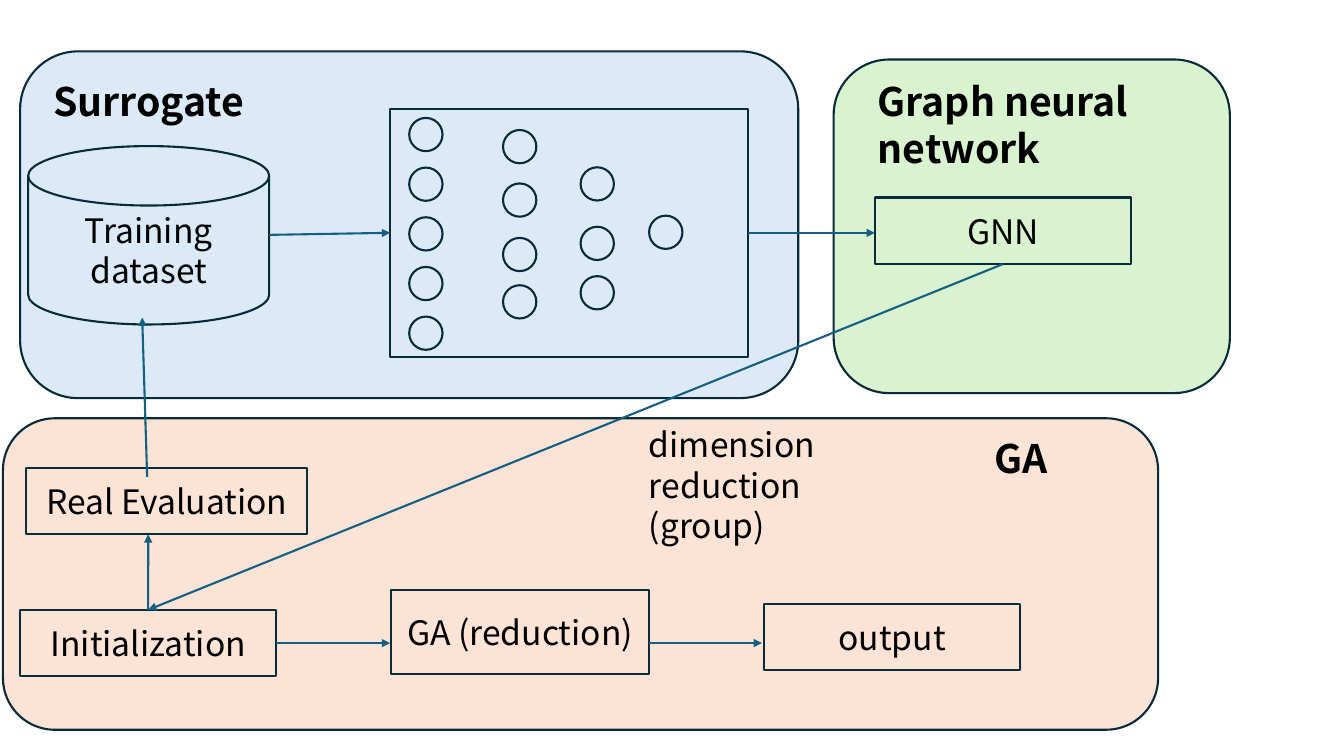
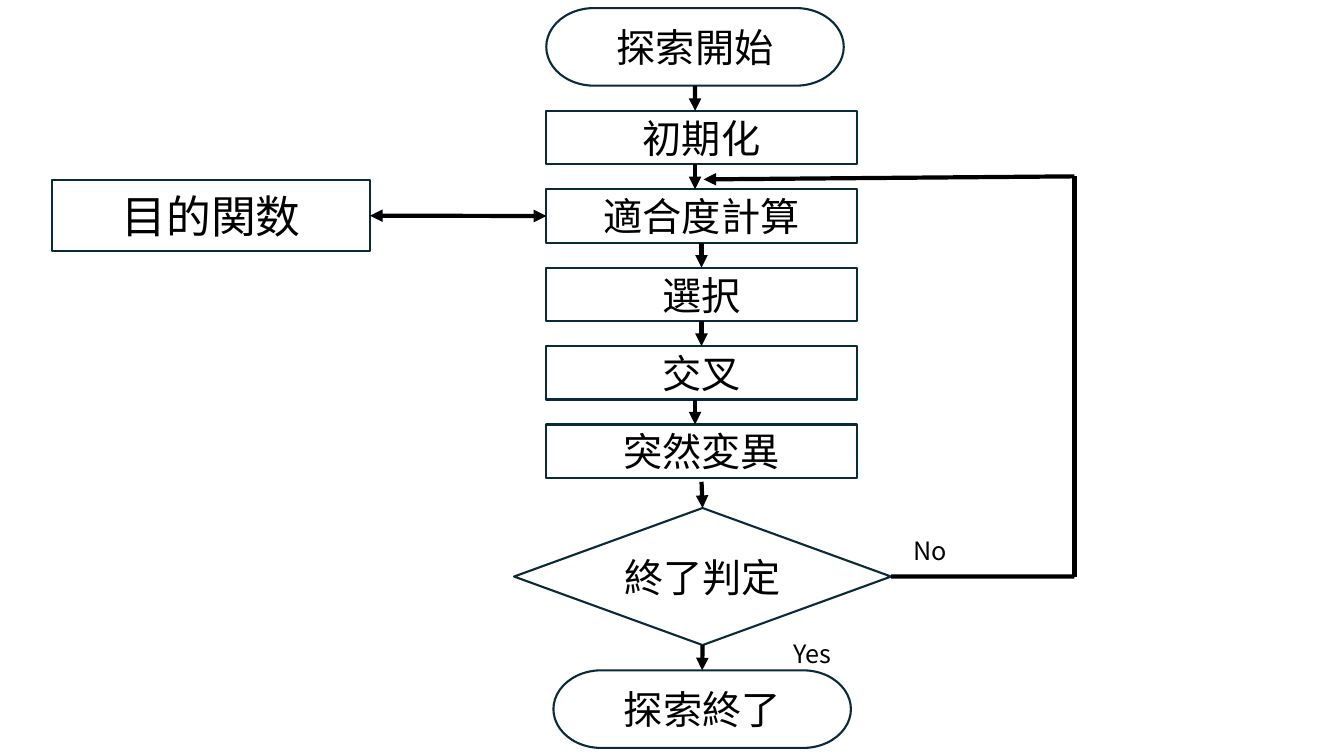
from lxml import etree
from pptx import Presentation, util as u
from pptx.dml.color import RGBColor
from pptx.enum import shapes, text
from pptx.oxml.ns import qn
from pptx.shapes.base import BaseShape

FONT = "Noto Sans CJK JP"
BLACK = RGBColor(0x00, 0x00, 0x00)
OUTLINE = RGBColor(0x09, 0x2A, 0x39)
TEAL = RGBColor(0x15, 0x60, 0x82)
BLUE = RGBColor(0xDC, 0xEA, 0xF7)
GREEN = RGBColor(0xD9, 0xF2, 0xD0)
PEACH = RGBColor(0xFB, 0xE3, 0xD6)
KIND = shapes.MSO_SHAPE
TOP, LEFT, BOTTOM, RIGHT = range(4)

presentation = Presentation()
presentation.slide_width = u.Inches(13.333)
presentation.slide_height = u.Inches(7.5)
# The grid has 100 columns and 100 rows.
COLUMN = presentation.slide_width / 100
ROW = presentation.slide_height / 100


def add_box(slide, place, words="", kind=None, fill=None, size=24, bold=False, tight=False):
    """Add a shape, or a text box if kind is None; place is left, top, width, height."""
    left, top, width, height = place
    frame_place = [u.Emu(round(length)) for length in
                   (left * COLUMN, top * ROW, width * COLUMN, height * ROW)]
    if kind is None:
        shape = slide.shapes.add_textbox(*frame_place)
    else:
        shape = slide.shapes.add_shape(kind, *frame_place)
        shape.shadow.inherit = False
        shape.line.color.rgb = OUTLINE
        shape.line.width = u.Pt(1.5)
        shape.fill.background()
        if fill is not None:
            shape.fill.solid()
            shape.fill.fore_color.rgb = fill
    frame = shape.text_frame
    frame.word_wrap = True
    frame.text = words
    frame.vertical_anchor = text.MSO_ANCHOR.MIDDLE if kind else text.MSO_ANCHOR.TOP
    for paragraph in frame.paragraphs:
        paragraph.alignment = text.PP_ALIGN.CENTER if kind else text.PP_ALIGN.LEFT
        if tight or kind is None:
            paragraph.line_spacing = u.Pt(size * 1.2)
        for run in paragraph.runs:
            run.font.size = u.Pt(size)
            run.font.bold = bold
            run.font.color.rgb = BLACK
            run.font.name = FONT
            etree.SubElement(run.font._element, qn("a:ea"), typeface=FONT)
    return shape


def add_line(slide, start, end, colour=TEAL, width=1.5, arrows=("tailEnd",)):
    """Draw a line; each end is (column, row), or (shape, side) to join it."""
    line = slide.shapes.add_connector(shapes.MSO_CONNECTOR.STRAIGHT, 0, 0, 0, 0)
    if isinstance(start[0], BaseShape):
        line.begin_connect(*start)
    else:
        line.begin_x, line.begin_y = round(start[0] * COLUMN), round(start[1] * ROW)
    if isinstance(end[0], BaseShape):
        line.end_connect(*end)
    else:
        line.end_x, line.end_y = round(end[0] * COLUMN), round(end[1] * ROW)
    line.line.color.rgb = colour
    line.line.width = u.Pt(width)
    for arrow in arrows:
        etree.SubElement(line.line._get_or_add_ln(), qn("a:" + arrow), type="triangle")
    etree.SubElement(line._element.spPr, qn("a:effectLst"))


# Slide 1: surrogate, graph neural network and genetic algorithm
slide = presentation.slides.add_slide(presentation.slide_layouts[6])
for place, fill in (
    ((62.03, 7.87, 29.48, 44.13), GREEN),
    ((0.22, 55.33, 85.95, 41.2), PEACH),
    ((1.5, 6.8, 57.9, 45.87), BLUE),
):
    add_box(slide, place, kind=KIND.ROUNDED_RECTANGLE, fill=fill)

initialization, evaluation, gnn, reduction, output, network = [
    add_box(slide, place, words, kind=KIND.RECTANGLE) for place, words in (
        ((1.5, 80.67, 19.05, 8.8), "Initialization"),
        ((1.95, 61.87, 20.93, 8.8), "Real Evaluation"),
        ((65.1, 26.13, 19.05, 8.8), "GNN"),
        ((29.1, 78, 19.2, 11.2), "GA (reduction)"),
        ((56.85, 79.87, 19.05, 8.8), "output"),
        ((29.03, 14.4, 26.63, 32.8), ""),
    )]
add_box(slide, (2.1, 19.33, 17.93, 23.6), "Training dataset",
        kind=KIND.FLOWCHART_MAGNETIC_DISK, tight=True)

neuron_layers = (
    (30.45, [15.6 + 6.57 * index for index in range(5)]),
    (37.43, (17.2, 24.27, 31.47, 37.73)),
    (43.2, (22.13, 30, 36.53)),
    (48.3, (28.53,)),
)
for left, tops in neuron_layers:
    for top in tops:
        add_box(slide, (left, top, 2.48, 4.4), kind=KIND.OVAL)

for start, end in (
    ((initialization, TOP), (11.03, 70.67)),
    ((10.95, 63.07), (10.58, 42)),
    ((20.03, 31.07), (network, LEFT)),
    ((network, RIGHT), (65.1, 30.8)),
    ((gnn, BOTTOM), (initialization, TOP)),
    ((initialization, RIGHT), (29.03, 85.07)),
    ((48.3, 85.07), (56.7, 85.07)),
):
    add_line(slide, start, end)

add_box(slide, (47.55, 55.47, 24, 17.47), "dimension reduction\n(group)")
for place, title in (
    ((3.23, 9.6, 21.08, 7.6), "Surrogate"),
    ((73.28, 56.8, 15.68, 7.6), "GA"),
    ((64.58, 9.6, 26.93, 13.87), "Graph neural network"),
):
    add_box(slide, place, title, size=28, bold=True)

# Slide 2: flow of the search
slide = presentation.slides.add_slide(presentation.slide_layouts[6])
STEP_TOP, STEP_PITCH, STEP_HEIGHT = 14.67, 10.37, 7.07
START_MIDDLE, LOOP_COLUMN, LOOP_ROW = 51.72, 79.95, 23.33
flow_line = {"colour": BLACK, "width": 3}

begin = add_box(slide, (40.65, 1.07, 22.13, 10.27), "探索開始",
                kind=KIND.FLOWCHART_TERMINATOR, size=28)
steps = [
    add_box(slide, (40.65, STEP_TOP + STEP_PITCH * index, 23.1, STEP_HEIGHT), words,
            kind=KIND.FLOWCHART_PROCESS, size=28)
    for index, words in enumerate(("初期化", "適合度計算", "選択", "交叉", "突然変異"))]
decision = add_box(slide, (38.25, 67.2, 28.05, 18.13), "終了判定",
                   kind=KIND.FLOWCHART_DECISION, size=28)
finish = add_box(slide, (41.18, 88.67, 22.13, 10.27), "探索終了",
                 kind=KIND.FLOWCHART_TERMINATOR, size=28)
objective = add_box(slide, (3.9, 23.87, 23.63, 9.33), "目的関数",
                    kind=KIND.FLOWCHART_PROCESS, size=32)

for index in (0, 3):
    top = STEP_TOP + STEP_PITCH * index
    add_line(slide, (START_MIDDLE, top + STEP_HEIGHT),
             (START_MIDDLE, top + STEP_PITCH), **flow_line)
for start, end in (
    ((begin, BOTTOM), (START_MIDDLE, STEP_TOP)),
    ((steps[1], BOTTOM), (steps[2], TOP)),
    ((steps[2], BOTTOM), (steps[3], TOP)),
    ((52.2, 63.73), (decision, TOP)),
    ((decision, BOTTOM), (finish, TOP)),
    ((LOOP_COLUMN, LOOP_ROW), (52.35, 23.73)),
):
    add_line(slide, start, end, **flow_line)
add_line(slide, (decision, RIGHT), (LOOP_COLUMN, 76.27), arrows=(), **flow_line)
add_line(slide, (LOOP_COLUMN, LOOP_ROW), (LOOP_COLUMN, 76.27), arrows=(), **flow_line)
add_line(slide, (objective, RIGHT), (steps[1], LEFT),
         arrows=("headEnd", "tailEnd"), **flow_line)

for left, top, answer in ((67.2, 70.13, "No"), (58.28, 83.73, "Yes")):
    add_box(slide, (left, top, 9.98, 5.33), answer, size=18)

presentation.save("out.pptx")
